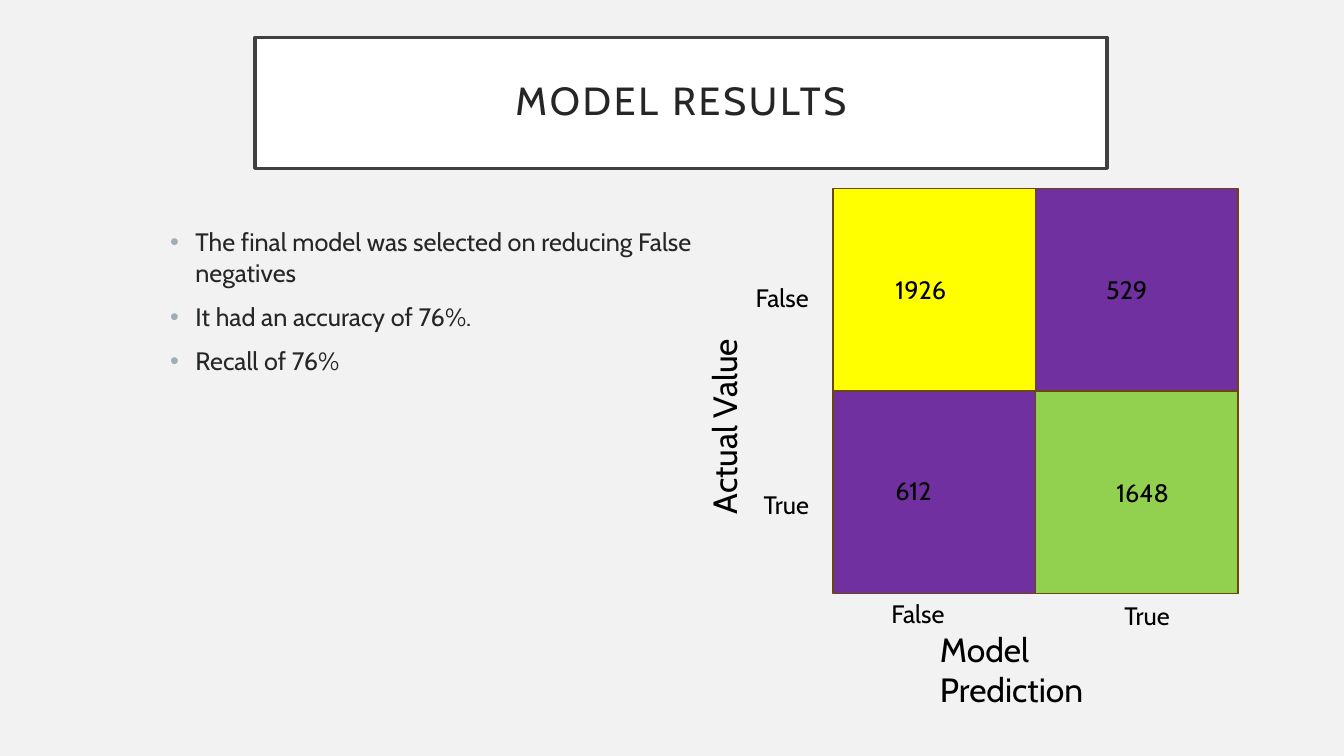
from dataclasses import dataclass

from lxml import etree
from pptx import Presentation
from pptx.dml.color import RGBColor
from pptx.enum.shapes import MSO_SHAPE
from pptx.enum.text import MSO_ANCHOR, MSO_AUTO_SIZE, PP_ALIGN
from pptx.oxml.ns import qn
from pptx.util import Inches, Pt

RECT = MSO_SHAPE.RECTANGLE
MIDDLE, TOP = MSO_ANCHOR.MIDDLE, MSO_ANCHOR.TOP
CENTER = PP_ALIGN.CENTER
NO_FIT, GROW = MSO_AUTO_SIZE.NONE, MSO_AUTO_SIZE.SHAPE_TO_FIT_TEXT

FONT = "Cabin"
BACKGROUND = RGBColor(0xF2, 0xF2, 0xF2)
WHITE = RGBColor(0xFF, 0xFF, 0xFF)
BLACK = RGBColor(0, 0, 0)
INK = RGBColor(0x26, 0x26, 0x26)
FRAME = RGBColor(0x40, 0x40, 0x40)
BULLET = RGBColor(0x9B, 0xAF, 0xB5)
BROWN = RGBColor(0x6C, 0x47, 0x0D)
YELLOW = RGBColor(0xFF, 0xFF, 0)
PURPLE = RGBColor(0x70, 0x30, 0xA0)
GREEN = RGBColor(0x92, 0xD0, 0x50)

MATRIX_LEFT, MATRIX_TOP, CELL = 8.26, 1.87, 2.01


@dataclass(frozen=True)
class Cell:
    col: int
    row: int
    fill: RGBColor


@dataclass(frozen=True)
class Label:
    text: str
    col: float
    row: float
    width: float = 1.04
    height: float = 0.4
    size: int = 18
    rotation: int = 0


CELLS = [
    Cell(0, 0, YELLOW),
    Cell(1, 0, PURPLE),
    Cell(0, 1, PURPLE),
    Cell(1, 1, GREEN),
]
LABELS = [
    Label("False", -0.43, 0.44),
    Label("True", -0.39, 1.46),
    Label("False", 0.24, 2),
    Label("True", 1.39, 2.01),
    Label("1926", 0.26, 0.4),
    Label("1648", 1.35, 1.4),
    Label("612", 0.26, 1.39),
    Label("529", 1.3, 0.4),
    Label("Actual Value", -1.07, 1, 2.14, 0.5, 24, 270),
    Label("Model Prediction", 0.48, 2.15, 2.54, 0.5, 24),
]
FINDINGS = [
    "The final model was selected on reducing False negatives",
    "It had an accuracy of 76%.",
    "Recall of 76%",
]


def matrix_x(col: float) -> int:
    return Inches(MATRIX_LEFT + col * CELL)


def matrix_y(row: float) -> int:
    return Inches(MATRIX_TOP + row * CELL)


def add_run(p, text: str, size: int, color: RGBColor):
    r = p.add_run()
    r.text = text
    r.font.name = FONT
    r.font.size = Pt(size)
    r.font.color.rgb = color
    return r


def paint(sp, fill: RGBColor, line: RGBColor, weight: float) -> None:
    sp.fill.solid()
    sp.fill.fore_color.rgb = fill
    sp.line.color.rgb = line
    sp.line.width = Pt(weight)


def add_bullet(p) -> None:
    pPr = p._p.get_or_add_pPr()
    pPr.set("marL", str(Inches(0.25)))
    pPr.set("indent", str(-Inches(0.25)))
    color = etree.SubElement(pPr, qn("a:buClr"))
    etree.SubElement(color, qn("a:srgbClr")).set("val", str(BULLET))
    etree.SubElement(pPr, qn("a:buFont")).set("typeface", "Arial")
    etree.SubElement(pPr, qn("a:buChar")).set("char", "•")


def format_title(sp) -> None:
    sp.left, sp.top = Inches(2.53), Inches(0.37)
    sp.width, sp.height = Inches(8.45), Inches(1.3)
    paint(sp, WHITE, FRAME, 2.5)
    tf = sp.text_frame
    tf.auto_size = NO_FIT
    tf.vertical_anchor = MIDDLE
    tf.margin_left = tf.margin_right = Inches(0.2)
    tf.margin_top = tf.margin_bottom = Inches(0.2)
    p = tf.paragraphs[0]
    p.alignment = CENTER
    p.line_spacing = 0.9
    r = add_run(p, "MODEL RESULTS", 28, INK)
    r._r.get_or_add_rPr().set("spc", "200")


def add_findings(s) -> None:
    sp = s.shapes.add_textbox(Inches(1.59), Inches(2.2), Inches(5.43), Inches(4.12))
    tf = sp.text_frame
    tf.word_wrap = True
    tf.vertical_anchor = TOP
    for i, text in enumerate(FINDINGS):
        p = tf.add_paragraph() if i else tf.paragraphs[0]
        p.space_before = Pt(10)
        add_bullet(p)
        add_run(p, text, 18, INK)


def add_cell(s, cell: Cell) -> None:
    sp = s.shapes.add_shape(
        RECT, matrix_x(cell.col), matrix_y(cell.row), Inches(CELL), Inches(CELL)
    )
    sp.shadow.inherit = False
    paint(sp, cell.fill, BROWN, 1)


def add_label(s, label: Label) -> None:
    sp = s.shapes.add_textbox(
        matrix_x(label.col),
        matrix_y(label.row),
        Inches(label.width),
        Inches(label.height),
    )
    sp.rotation = label.rotation
    tf = sp.text_frame
    tf.word_wrap = True
    tf.auto_size = GROW
    add_run(tf.paragraphs[0], label.text, label.size, BLACK)


prs = Presentation()
prs.slide_width, prs.slide_height = Inches(13.33), Inches(7.5)
s = prs.slides.add_slide(prs.slide_layouts[5])
s.background.fill.solid()
s.background.fill.fore_color.rgb = BACKGROUND

format_title(s.shapes.title)
add_findings(s)
for cell in CELLS:
    add_cell(s, cell)
for label in LABELS:
    add_label(s, label)

prs.save("out.pptx")
